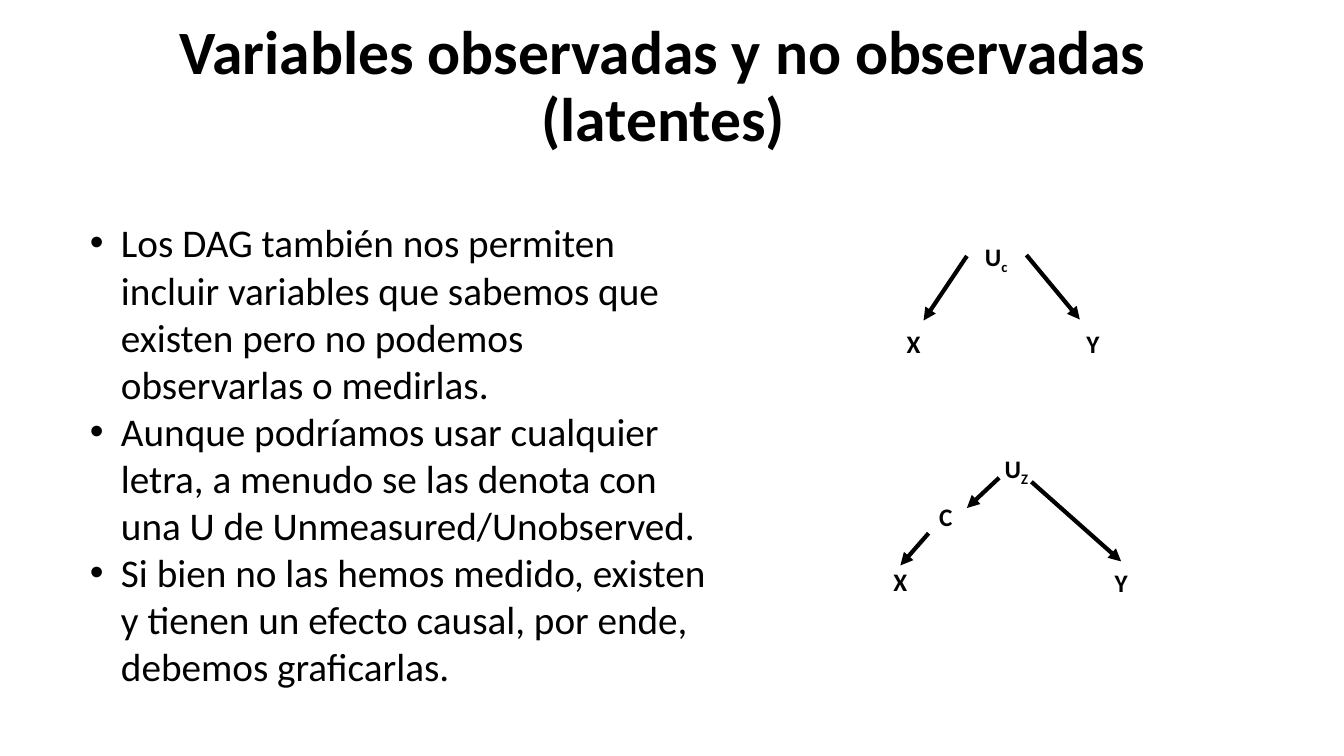
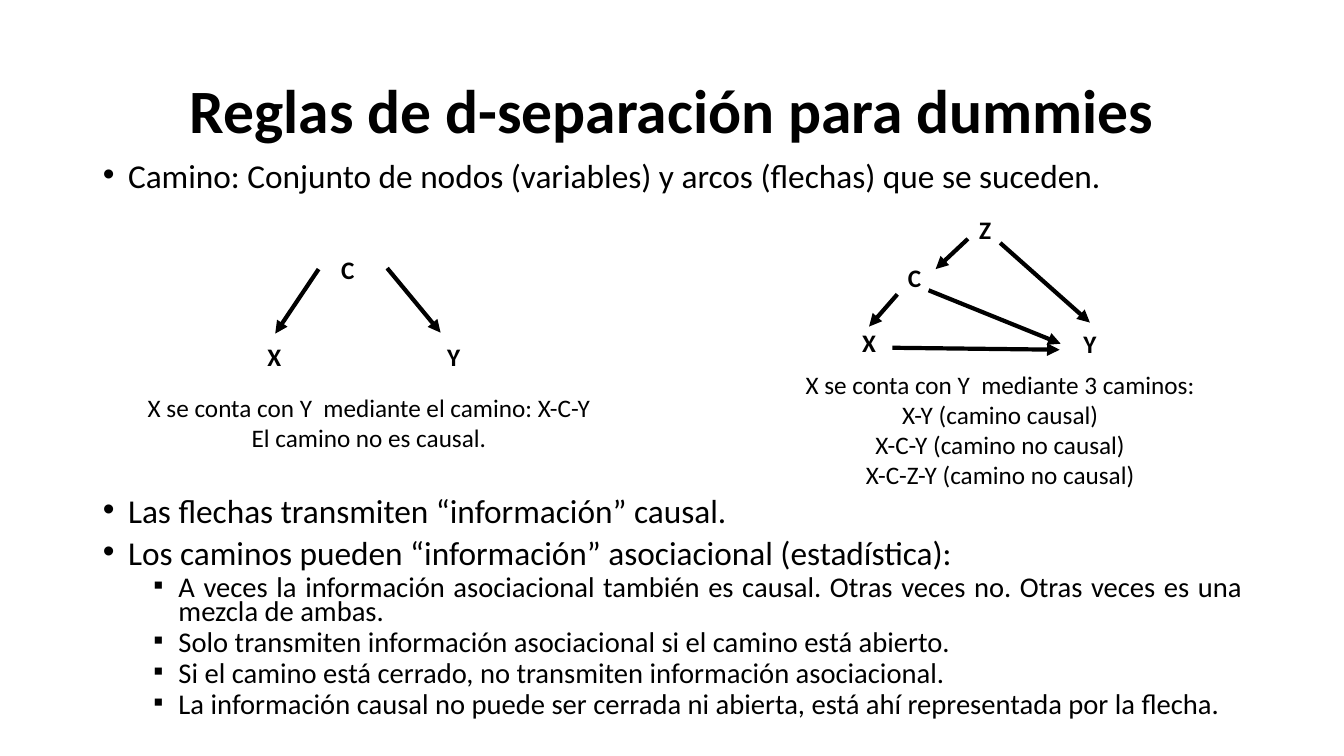
from dataclasses import dataclass

from lxml.etree import SubElement
from pptx import Presentation
from pptx.dml.color import RGBColor
from pptx.enum.shapes import MSO_CONNECTOR
from pptx.enum.text import MSO_ANCHOR, MSO_AUTO_SIZE, PP_ALIGN
from pptx.oxml.ns import qn
from pptx.util import Pt

PX = 9144  # 100 px to the inch


@dataclass(frozen=True)
class Theme:
    font: str = "Calibri"
    ink: RGBColor = RGBColor(0, 0, 0)
    title: float = 44
    text: float = 28
    point: float = 23.8
    subpoint: float = 20.4
    label: float = 18
    arrow: float = 3


@dataclass(frozen=True)
class ListStyle:
    size: float
    level: int = 0
    bullet: str = "•"
    left: int = 25
    hang: int = 25
    line: float = 0.7
    before: float = 10
    align: PP_ALIGN = PP_ALIGN.JUSTIFY


THEME = Theme()
TEXT = ListStyle(THEME.text, left=31, hang=31, line=1.0, before=0, align=PP_ALIGN.LEFT)
POINT = ListStyle(THEME.point)
AFTER_DIAGRAMS = ListStyle(THEME.point, before=219)
SUBPOINT = ListStyle(THEME.subpoint, level=1, bullet="▪", left=75, before=5)

LABEL_W, LABEL_H = 58, 40


# Diagrams: labels and arrows are offsets in px from the corner of X
def fork(x, y, apex, sub="", apex_dx=82):
    return {
        "origin": (x, y),
        "labels": [(apex, sub, apex_dx, -87), ("X", "", 0, 0), ("Y", "", 178, 0)],
        "arrows": [(apex_dx, -67, apex_dx - 43, -3), (141, -68, 194, -4)],
    }


def chain(x, y, apex, sub="", extra=()):
    return {
        "origin": (x, y),
        "labels": [(apex, sub, 115, -112), ("C", "", 45, -65),
                   ("X", "", 0, 0), ("Y", "", 219, 1)],
        "arrows": [(57, -28, 29, 4), (127, -83, 95, -53), (159, -79, 248, 0), *extra],
    }


SLIDES = [
    {
        "title": "Variables observadas y no observadas (latentes)",
        "title_box": (83, 15, 1150, 145),
        "body_box": (79, 212, 633, 481),
        "body": [
            (TEXT, "Los DAG también nos permiten incluir variables que sabemos que "
                   "existen pero no podemos observarlas o medirlas."),
            (TEXT, "Aunque podríamos usar cualquier letra, a menudo se las denota con "
                   "una U de Unmeasured/Unobserved."),
            (TEXT, "Si bien no las hemos medido, existen y tienen un efecto causal, "
                   "por ende, debemos graficarlas."),
        ],
        "diagrams": [fork(877, 321, "U", "c"), chain(864, 557, "U", "Z")],
        "captions": [],
    },
    {
        "title": "Reglas de d-separación para dummies",
        "title_box": (92, 40, 1150, 145),
        "body_box": (92, 160, 1150, 564),
        "body": [
            (POINT, "Camino: Conjunto de nodos (variables) y arcos (flechas) que se suceden."),
            (AFTER_DIAGRAMS, "Las flechas transmiten “información” causal."),
            (POINT, "Los caminos pueden “información” asociacional (estadística):"),
            (SUBPOINT, "A veces la información asociacional también es causal. "
                       "Otras veces no. Otras veces es una mezcla de ambas."),
            (SUBPOINT, "Solo transmiten información asociacional si el camino está abierto."),
            (SUBPOINT, "Si el camino está cerrado, no transmiten información asociacional."),
            (SUBPOINT, "La información causal no puede ser cerrada ni abierta, "
                       "está ahí representada por la flecha."),
        ],
        "diagrams": [
            fork(243, 334, "C", apex_dx=73),
            chain(833, 320, "Z", extra=[(88, -32, 219, 21), (52, 25, 218, 27)]),
        ],
        "captions": [
            ((131, 384, 470, 71), ["X se conta con Y  mediante el camino: X-C-Y",
                                   "El camino no es causal."]),
            ((757, 361, 470, 131), ["X se conta con Y  mediante 3 caminos:",
                                    "X-Y (camino causal)",
                                    "X-C-Y (camino no causal)",
                                    "X-C-Z-Y (camino no causal)"]),
        ],
    },
]


def emu(*lengths):
    return [v * PX for v in lengths]


def place(sp, box):
    sp.left, sp.top, sp.width, sp.height = emu(*box)


def style(p, size, bold=False, align=PP_ALIGN.CENTER):
    p.alignment = align
    for r in p.runs:
        r.font.name, r.font.size, r.font.bold = THEME.font, Pt(size), bold
        r.font.color.rgb = THEME.ink


def set_bullet(p, ls):
    pPr = p._p.get_or_add_pPr()
    pPr.set("marL", str(ls.left * PX))
    pPr.set("indent", str(-ls.hang * PX))
    SubElement(pPr, qn("a:buFont")).set("typeface", "Arial")
    SubElement(pPr, qn("a:buChar")).set("char", ls.bullet)


def add_title(slide, text, box):
    sp = slide.shapes.title
    place(sp, box)
    tf = sp.text_frame
    tf.text = text
    tf.auto_size, tf.vertical_anchor = MSO_AUTO_SIZE.NONE, MSO_ANCHOR.MIDDLE
    tf.paragraphs[0].line_spacing = 0.9
    style(tf.paragraphs[0], THEME.title, bold=True)


def add_body(slide, items, box):
    sp = slide.placeholders[1]
    place(sp, box)
    tf = sp.text_frame
    tf.text = "\n".join(text for _, text in items)
    tf.auto_size, tf.vertical_anchor = MSO_AUTO_SIZE.NONE, MSO_ANCHOR.TOP
    for p, (ls, _) in zip(tf.paragraphs, items):
        p.level, p.line_spacing = ls.level, ls.line
        p.space_before, p.space_after = Pt(ls.before), Pt(0)
        style(p, ls.size, align=ls.align)
        set_bullet(p, ls)


def add_text(shapes, lines, box, bold=False, sub=""):
    tf = shapes.add_textbox(*emu(*box)).text_frame
    tf.word_wrap = True
    tf.text = "\n".join(lines)
    if sub:
        r = tf.paragraphs[0].add_run()
        r.text = sub
        r.font._element.set("baseline", "-25000")
    for p in tf.paragraphs:
        style(p, THEME.label, bold)


def add_arrow(shapes, ends):
    line = shapes.add_connector(MSO_CONNECTOR.STRAIGHT, *emu(*ends))
    line.line.width = Pt(THEME.arrow)
    line.line.color.rgb = THEME.ink
    SubElement(line.line._get_or_add_ln(), qn("a:tailEnd")).set("type", "triangle")
    SubElement(line._element.spPr, qn("a:effectLst"))


def add_diagram(slide, diagram):
    shapes = slide.shapes.add_group_shape().shapes
    x, y = diagram["origin"]
    for text, sub, dx, dy in diagram["labels"]:
        add_text(shapes, [text], (x + dx, y + dy, LABEL_W, LABEL_H), True, sub)
    for x1, y1, x2, y2 in diagram["arrows"]:
        add_arrow(shapes, (x + x1, y + y1, x + x2, y + y2))


def main():
    prs = Presentation()
    prs.slide_width, prs.slide_height = emu(1333, 750)
    for content in SLIDES:
        slide = prs.slides.add_slide(prs.slide_layouts[1])
        add_title(slide, content["title"], content["title_box"])
        add_body(slide, content["body"], content["body_box"])
        for diagram in content["diagrams"]:
            add_diagram(slide, diagram)
        for box, lines in content["captions"]:
            add_text(slide.shapes, lines, box)
    prs.save("out.pptx")


if __name__ == "__main__":
    main()
